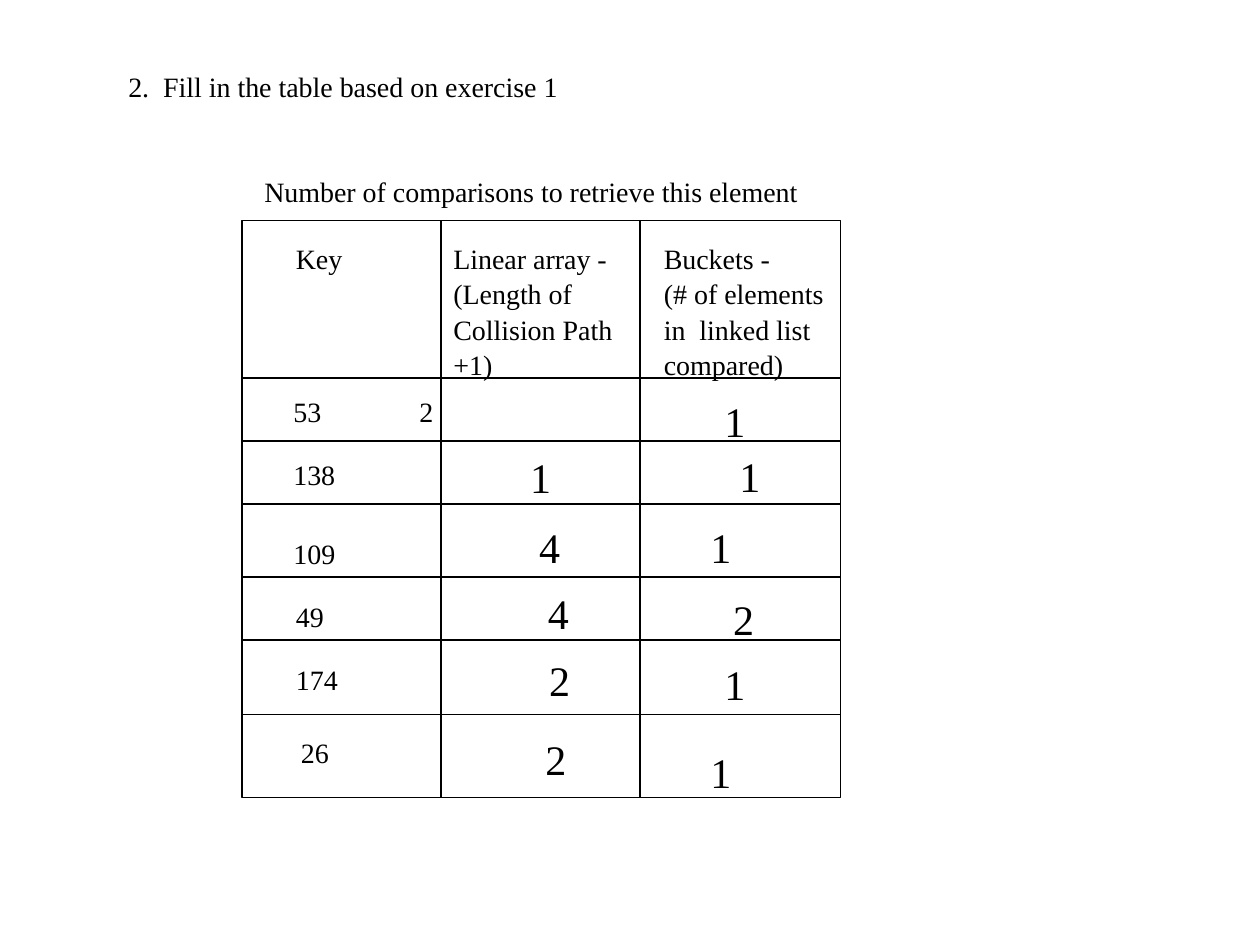
import pptx
import pptx.util
import pptx.dml.color
import pptx.enum.shapes
import pptx.oxml.ns
import lxml.etree

Inches = pptx.util.Inches
COLORS = {"ink": "000000"}
INK = pptx.dml.color.RGBColor.from_string(COLORS["ink"])
FONT = "Times New Roman"
LEFT, TOP, RIGHT, END = 1.92, 1.75, 6.67, 6.33

deck = pptx.Presentation()
deck.slide_width, deck.slide_height = Inches(10), Inches(7.5)
slide = deck.slides.add_slide(deck.slide_layouts[6])


def label(text, left, top, width, height=0.37, size=16, space=1.06):
    box = slide.shapes.add_textbox(Inches(left), Inches(top), Inches(width), Inches(height))
    frame = box.text_frame
    frame.word_wrap = True
    frame.text = text
    for para in frame.paragraphs:
        para.line_spacing = space
        for run in para.runs:
            run.font.name = FONT
            run.font.size = pptx.util.Pt(size)
            run.font.color.rgb = INK


def rule(x1, y1, x2, y2):
    line = slide.shapes.add_connector(
        pptx.enum.shapes.MSO_CONNECTOR.STRAIGHT,
        Inches(x1), Inches(y1), Inches(x2), Inches(y2))
    line.line.color.rgb = INK
    line.line.width = pptx.util.Pt(0.75)
    lxml.etree.SubElement(line._element.spPr, pptx.oxml.ns.qn("a:effectLst"))


# Grid: frame, column rules, row rules
frame = slide.shapes.add_shape(
    pptx.enum.shapes.MSO_SHAPE.RECTANGLE,
    Inches(LEFT), Inches(TOP), Inches(RIGHT - LEFT), Inches(END - TOP))
frame.shadow.inherit = False
frame.fill.background()
frame.line.color.rgb = INK
frame.line.width = pptx.util.Pt(0.75)
for x, end in [(3.5, END), (5.08, END), (RIGHT, 5.67)]:
    rule(x, TOP, x, end)
for y in (3, 3.5, 4, 4.58, 5.08, 5.67):
    rule(LEFT, y, RIGHT, y)

# Task and table title
label("2.  Fill in the table based on exercise 1", 0.92, 0.5, 3.63, space=1)
label("Number of comparisons to retrieve this element", 2, 1.34, 4.5, space=1)

# Column heads
label("Key", 2.25, 1.85, 0.6)
label("Linear array - \n(Length of \nCollision Path +1)", 3.5, 1.85, 1.75, 0.91)
label("Buckets - \n(# of elements\nin  linked list\ncompared)", 5.17, 1.85, 1.51, 1.18)

# Keys; the first one carries its linear count after tabs
for text, left, top, width in [
    ("53\t\t2", 2.23, 3.07, 2.33), ("138", 2.23, 3.57, 0.54),
    ("109", 2.23, 4.19, 1.21), ("49", 2.25, 4.69, 2.22),
    ("174", 2.25, 5.19, 0.54), ("26", 2.29, 5.77, 2.22),
]:
    label(text, left, top, width)

# Counts: linear array, then buckets
for text, left, top in [
    ("1", 4.11, 3.51), ("4", 4.18, 4.07), ("4", 4.25, 4.59),
    ("2", 4.26, 5.12), ("2", 4.23, 5.75),
    ("1", 5.65, 3.07), ("1", 5.77, 3.5), ("1", 5.54, 4.07),
    ("2", 5.72, 4.64), ("1", 5.65, 5.15), ("1", 5.54, 5.85),
]:
    label(text, left, top, 0.37, 0.5, size=24)

deck.save("out.pptx")
